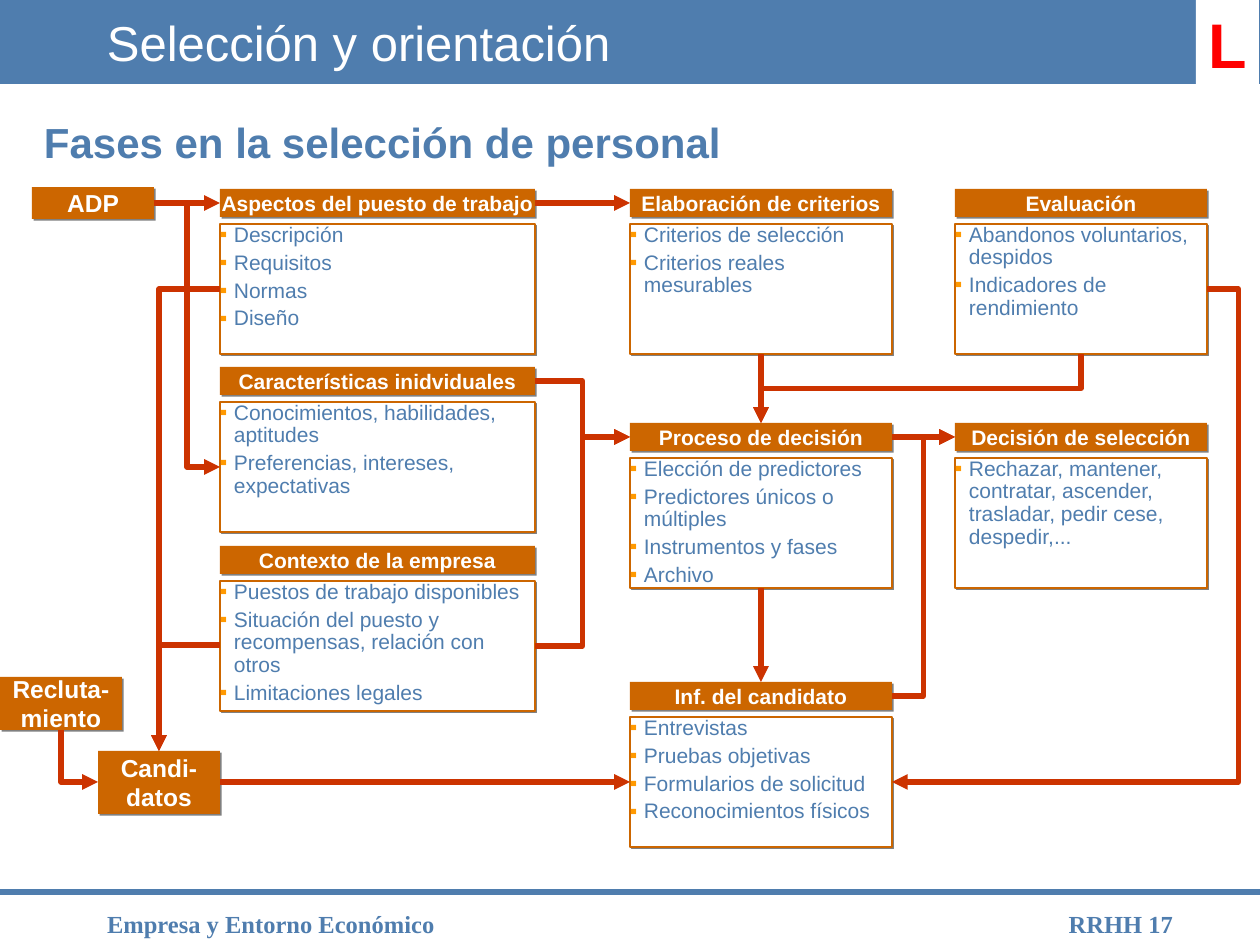
from dataclasses import dataclass

from lxml.etree import SubElement
from pptx import Presentation
from pptx.dml.color import RGBColor
from pptx.enum.shapes import MSO_CONNECTOR as CONN, MSO_SHAPE as SHAPE
from pptx.enum.text import MSO_ANCHOR as ANCHOR, PP_ALIGN as ALIGN
from pptx.oxml.ns import qn
from pptx.util import Emu, Pt

EMU_PER_PX = 914400 / 126


@dataclass(frozen=True)
class Theme:
    """Colours, fonts and type sizes of the slide."""
    blue: str = "4F7DAE"
    orange: str = "CC6600"
    bullet: str = "FF9900"
    arrow: str = "CC3300"
    shadow: str = "808080"
    white: str = "FFFFFF"
    red: str = "FF0000"
    sans: str = "Arial"
    serif: str = "Times New Roman"
    title: int = 28
    heading: int = 24
    label: int = 14
    card: int = 12
    mark: int = 36


T = Theme()
HEAD_H, BODY_DY, BODY_H = 28, 35, 130
INSETS = (13, 6, 13, 6)


def px(*values):
    """Turn picture pixels into EMU."""
    return [Emu(round(v * EMU_PER_PX)) for v in values]


def rgb(value):
    return RGBColor.from_string(value)


def node(parent, tag, **attrs):
    """Append one XML element with attributes."""
    el = SubElement(parent, qn(tag))
    for key, value in attrs.items():
        el.set(key, str(value))
    return el


def write(sp, lines, color, size, font=T.sans, bold=False, insets=INSETS, wrap=True,
          anchor=ANCHOR.TOP, bullets=False, **para):
    """Write one paragraph per line into a shape."""
    tf = sp.text_frame
    sides = zip(("margin_left", "margin_top", "margin_right", "margin_bottom"), px(*insets))
    for key, value in {**dict(sides), "word_wrap": wrap, "vertical_anchor": anchor}.items():
        setattr(tf, key, value)
    for i, line in enumerate(lines):
        p = tf.add_paragraph() if i else tf.paragraphs[0]
        for key, value in {"alignment": ALIGN.LEFT, **para}.items():
            setattr(p, key, value)
        r = p.add_run()
        r.text = line
        for key, value in {"name": font, "size": Pt(size), "bold": bold}.items():
            setattr(r.font, key, value)
        r.font.color.rgb = rgb(color)
        if bullets:
            pPr = p._p.get_or_add_pPr()
            indent = px(14)[0]
            pPr.set("marL", str(indent))
            pPr.set("indent", str(-indent))
            node(node(pPr, "a:buClr"), "a:srgbClr", val=T.bullet)
            node(pPr, "a:buFont", typeface=T.sans)
            node(pPr, "a:buChar", char="▪")


def text(slide, box, line, color, size, **fmt):
    """Add a text box with one line."""
    write(slide.shapes.add_textbox(*px(*box)), [line], color, size, **fmt)


def rect(shapes, box, fill, line=None, shadow=True):
    """Add a rectangle, optionally outlined and with a hard shadow."""
    sp = shapes.add_shape(SHAPE.RECTANGLE, *px(*box))
    sp.shadow.inherit = False
    sp.fill.solid()
    sp.fill.fore_color.rgb = rgb(fill)
    if line:
        sp.line.color.rgb = rgb(line)
        sp.line.width = Pt(0.75)
    else:
        sp.line.fill.background()
    if shadow:
        effects = sp._element.spPr.find(qn("a:effectLst"))
        outer = node(effects, "a:outerShdw", dist=Pt(1.4), dir=45 * 60000,
                     algn="ctr", rotWithShape=0)
        node(outer, "a:srgbClr", val=T.shadow)
    return sp


def label(shapes, box, lines, size=T.label):
    """Add an orange box with centred bold text."""
    write(rect(shapes, box, T.orange), lines, T.white, size, bold=True, wrap=False,
          anchor=ANCHOR.MIDDLE, alignment=ALIGN.CENTER)


def card(slide, x, y, w, heading, items):
    """Group a heading bar with the bulleted box under it."""
    shapes = slide.shapes.add_group_shape().shapes
    body = rect(shapes, (x, y + BODY_DY, w, BODY_H), T.white, T.orange)
    write(body, items, T.blue, T.card, insets=(0, 0, 0, 0), bullets=True,
          line_spacing=0.9, space_before=Pt(3))
    label(shapes, (x, y, w, HEAD_H), [heading], T.card)


def line(slide, start, end, color, kind=CONN.STRAIGHT):
    """Add a thick line without a shadow."""
    cx = slide.shapes.add_connector(kind, *px(*start, *end))
    cx.line.color.rgb = rgb(color)
    cx.line.width = Pt(3)
    node(cx._element.spPr, "a:effectLst")
    return cx


def arrow(slide, start, end, route="", bend=0.5):
    """Add an arrow; route spells its horizontal (h) and vertical (v) legs."""
    if route.startswith("v"):
        (x1, y1), (x2, y2) = start, end
        mx, my = (x1 + x2) / 2, (y1 + y2) / 2
        dx, dy = (y2 - y1) / 2, (x1 - x2) / 2
        start, end = (mx - dx, my - dy), (mx + dx, my + dy)
    cx = line(slide, start, end, T.arrow, CONN.ELBOW if route else CONN.STRAIGHT)
    spPr = cx._element.spPr
    if route.startswith("v"):
        spPr.find(qn("a:xfrm")).set("rot", str(90 * 60000))
    geom = spPr.find(qn("a:prstGeom"))
    if len(route) == 2:
        geom.set("prst", "bentConnector2")
    elif route:
        guides = geom.find(qn("a:avLst"))
        node(guides, "a:gd", name="adj1", fmla=f"val {round(bend * 100000)}")
    node(spPr.find(qn("a:ln")), "a:tailEnd", type="triangle")


def frame(slide, box):
    """Draw the title band, heading and footer."""
    x, y, w, h = box
    rect(slide.shapes, (x, y, w, 84), T.blue, shadow=False)
    line(slide, (x, y + 892), (x + w, y + 892), T.blue)
    footer = dict(font=T.serif, bold=True)
    text(slide, (x + 1007, y + 903, 179, 32), "RRHH 17", T.blue, T.label,
         alignment=ALIGN.RIGHT, **footer)
    text(slide, (x + 94, y + 903, 588, 32), "Empresa y Entorno Económico", T.blue, T.label, **footer)
    text(slide, (x + 94, y, 1071, 84), "Selección y orientación", T.white, T.title,
         anchor=ANCHOR.MIDDLE)
    text(slide, (x + 31, y + 116, 1197, 63), "Fases en la selección de personal", T.blue,
         T.heading, bold=True, line_spacing=0.9, space_before=Pt(6))
    mark = rect(slide.shapes, (x + 1196, y, 63, 88), T.white, shadow=False)
    write(mark, ["L"], T.red, T.mark, bold=True, wrap=False, alignment=ALIGN.CENTER)


def flowchart(slide, box):
    """Draw the selection phases and the arrows between them."""
    x, y = box[:2]
    columns = ((220, 315), (630, 262), (955, 252))
    cards = (
        (0, 189, "Aspectos del puesto de trabajo",
         ("Descripción", "Requisitos", "Normas", "Diseño")),
        (0, 367, "Características inidviduales",
         ("Conocimientos, habilidades, aptitudes", "Preferencias, intereses, expectativas")),
        (0, 546, "Contexto de la empresa",
         ("Puestos de trabajo disponibles",
          "Situación del puesto y recompensas, relación con otros", "Limitaciones legales")),
        (1, 189, "Elaboración de criterios",
         ("Criterios de selección", "Criterios reales mesurables")),
        (1, 423, "Proceso de decisión",
         ("Elección de predictores", "Predictores únicos o múltiples",
          "Instrumentos y fases", "Archivo")),
        (1, 682, "Inf. del candidato",
         ("Entrevistas", "Pruebas objetivas", "Formularios de solicitud",
          "Reconocimientos físicos")),
        (2, 189, "Evaluación", ("Abandonos voluntarios, despidos", "Indicadores de rendimiento")),
        (2, 423, "Decisión de selección",
         ("Rechazar, mantener, contratar, ascender, trasladar, pedir cese, despedir,...",)),
    )
    for col, top, heading, items in cards:
        left, width = columns[col]
        card(slide, x + left, y + top, width, heading, items)
    for left, top, width, height, lines in (
            (32, 187, 122, 32, ["ADP"]),
            (98, 751, 122, 63, ["Candi-", "datos"]),
            (0, 677, 122, 53, ["Recluta-", "miento"])):
        label(slide.shapes, (x + left, y + top, width, height), lines)
    for start, end, *route in (
            ((154, 203), (220, 203)),
            ((535, 203), (630, 203)),
            ((220, 782), (630, 782)),
            ((892, 437), (955, 437)),
            ((761, 354), (761, 423)),
            ((761, 588), (761, 682)),
            ((220, 289), (159, 751), "hv"),
            ((220, 645), (159, 751), "hv"),
            ((61, 730), (98, 782), "vh"),
            ((154, 203), (220, 467), "hvh"),
            ((535, 381), (630, 437), "hvh"),
            ((535, 646), (630, 437), "hvh"),
            ((892, 696), (955, 437), "hvh"),
            ((1207, 289), (892, 782), "hvh", -0.1),
            ((1081, 354), (761, 423), "vhv")):
        arrow(slide, (x + start[0], y + start[1]), (x + end[0], y + end[1]), *route)


prs = Presentation()
prs.slide_width, prs.slide_height = px(1260, 945)
slide = prs.slides.add_slide(prs.slide_layouts[6])
page = (0, 0, 1260, 945)
frame(slide, page)
flowchart(slide, page)
prs.save("out.pptx")
